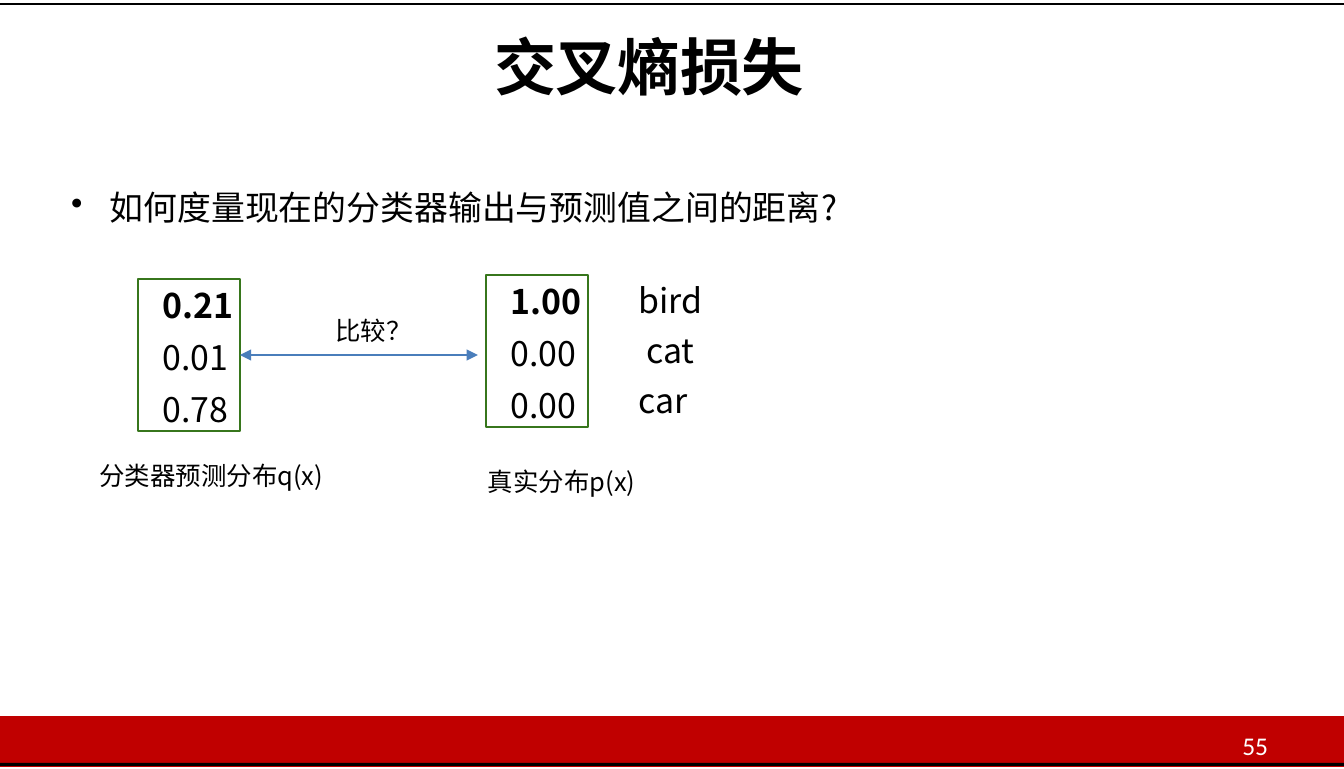
import pptx
import pptx.dml.color
import pptx.enum.shapes
import pptx.oxml
import pptx.oxml.ns
import pptx.util

THEME = {
    "ink": "000000", "paper": "FFFFFF", "band": "C00000",
    "frame": "37761C", "arrow": "4A7EBB",
    "title": 22, "body": 12, "label": 9,
    "font": "Noto Sans CJK SC", "number_font": "Calibri",
}

# The grid has square cells of a tenth of an inch
COLUMNS, ROWS = 66.1, 37.8
CELL = pptx.util.Inches(0.1)

deck = pptx.Presentation()
deck.slide_width, deck.slide_height = int(COLUMNS * CELL), int(ROWS * CELL)
slide = deck.slides.add_slide(deck.slide_layouts[6])


def grid(*cells):
    return [int(cell * CELL) for cell in cells]


def write(shape, lines, size, color="ink", font="font", inset=0.1):
    """Fill a shape with left-aligned lines and return its paragraphs."""
    frame = shape.text_frame
    frame.word_wrap = True
    frame.vertical_anchor = pptx.enum.text.MSO_ANCHOR.TOP
    frame.margin_left = frame.margin_right = frame.margin_bottom = 0
    frame.margin_top = int(inset * CELL)
    frame.text = "\n".join(lines)
    for paragraph in frame.paragraphs:
        paragraph.alignment = pptx.enum.text.PP_ALIGN.LEFT
        paragraph._p.get_or_add_pPr().set("marL", str(int(0.1 * CELL)))
        for run in paragraph.runs:
            run.font.size = pptx.util.Pt(THEME[size])
            run.font.color.rgb = pptx.dml.color.RGBColor.from_string(THEME[color])
            run.font.name = THEME[font]
            east_asian = pptx.oxml.parse_xml(
                f'<a:ea {pptx.oxml.ns.nsdecls("a")} typeface="{THEME[font]}"/>')
            run.font._element.find(pptx.oxml.ns.qn("a:latin")).addnext(east_asian)
    return frame.paragraphs


# Footer band and its black rule
for top, height, color in [(35.2, 2.5, "band"), (37.5, 0.15, "ink")]:
    footer = slide.shapes.add_shape(
        pptx.enum.shapes.MSO_SHAPE.RECTANGLE, *grid(0, top, COLUMNS, height))
    footer.shadow.inherit = False
    footer.fill.solid()
    footer.fill.fore_color.rgb = pptx.dml.color.RGBColor.from_string(THEME[color])
    footer.line.fill.background()

# Title, labels and page number
for text, place, size, color, font in [
    ("交叉熵损失", (24.2, 1.3, 15.7, 3.9), "title", "ink", "font"),
    ("分类器预测分布q(x)", (4.8, 22.5, 11.9, 1.8), "label", "ink", "font"),
    ("真实分布p(x)", (23.9, 22.8, 8.2, 1.8), "label", "ink", "font"),
    ("比较？", (16.4, 15.4, 4.2, 1.8), "label", "ink", "font"),
    ("55", (61, 35.8, 1.8, 1.5), "label", "paper", "number_font"),
]:
    caption = slide.shapes.add_textbox(*grid(*place))
    line = write(caption, [text], size, color, font)[0]
    line.runs[0].font.bold = size == "title"

# Bulleted question
question = slide.shapes.add_textbox(*grid(3.4, 9.1, 39, 2.3))
bulleted = write(question, ["如何度量现在的分类器输出与预测值之间的距离?"], "body")[0]
bullet = bulleted._p.get_or_add_pPr()
bullet.set("marL", str(int(2 * CELL)))
bullet.set("indent", str(int(-1.9 * CELL)))
bullet.append(pptx.oxml.parse_xml(
    f'<a:buChar {pptx.oxml.ns.nsdecls("a")} char="•"/>'))

# Predicted and true distributions
distributions = []
for left, top, values in [
    (6.8, 13.7, ["0.21", "0.01", "0.78"]),
    (23.9, 13.5, ["1.00", "0.00", "0.00"]),
]:
    distribution = slide.shapes.add_shape(
        pptx.enum.shapes.MSO_SHAPE.RECTANGLE, *grid(left, top, 5, 7.5))
    distribution.shadow.inherit = False
    distribution.fill.background()
    distribution.line.color.rgb = pptx.dml.color.RGBColor.from_string(THEME["frame"])
    distribution.line.width = pptx.util.Pt(0.72)
    for row, value in enumerate(write(distribution, values, "body", inset=0.3)):
        value._p.get_or_add_pPr().set("marL", str(int(1.2 * CELL)))
        value.runs[0].font.bold = row == 0
        if row:
            value.space_before = pptx.util.Pt(4)
    distributions.append(distribution)

# Class names, the middle one slightly indented
classes = slide.shapes.add_textbox(*grid(31.3, 13.2, 4, 7.7))
class_names = write(classes, ["bird", "cat", "car"], "body")
for class_name in class_names:
    class_name.line_spacing = 1.23
class_names[1]._p.get_or_add_pPr().set("marL", str(int(0.5 * CELL)))

# Top rule and comparison arrow
compare_row = 13.7 + 7.5 / 2
rules = []
for ends, color, width in [
    ((0, 0.2, COLUMNS, 0.2), "ink", 0.96),
    ((11.8, compare_row, 23.5, compare_row), "arrow", 0.5),
]:
    rule = slide.shapes.add_connector(
        pptx.enum.shapes.MSO_CONNECTOR.STRAIGHT, *grid(*ends))
    rule.line.color.rgb = pptx.dml.color.RGBColor.from_string(THEME[color])
    rule.line.width = pptx.util.Pt(width)
    rule._element.spPr.append(pptx.oxml.parse_xml(
        f'<a:effectLst {pptx.oxml.ns.nsdecls("a")}/>'))
    rules.append(rule)

comparison = rules[1]
comparison.begin_connect(distributions[0], 3)
for end in ("headEnd", "tailEnd"):
    comparison.line._get_or_add_ln().append(pptx.oxml.parse_xml(
        f'<a:{end} {pptx.oxml.ns.nsdecls("a")} type="triangle" w="sm" len="sm"/>'))

deck.save("out.pptx")
